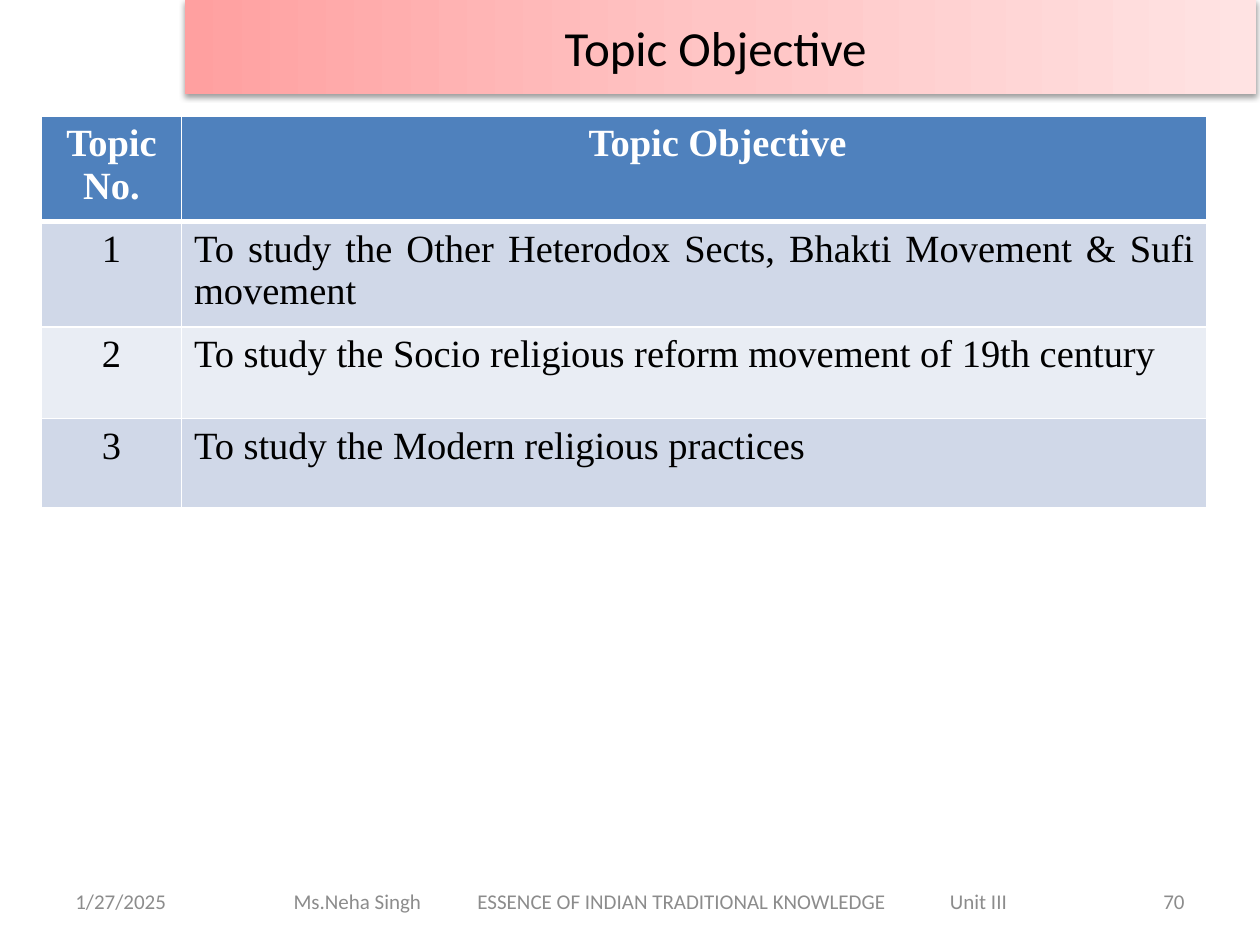
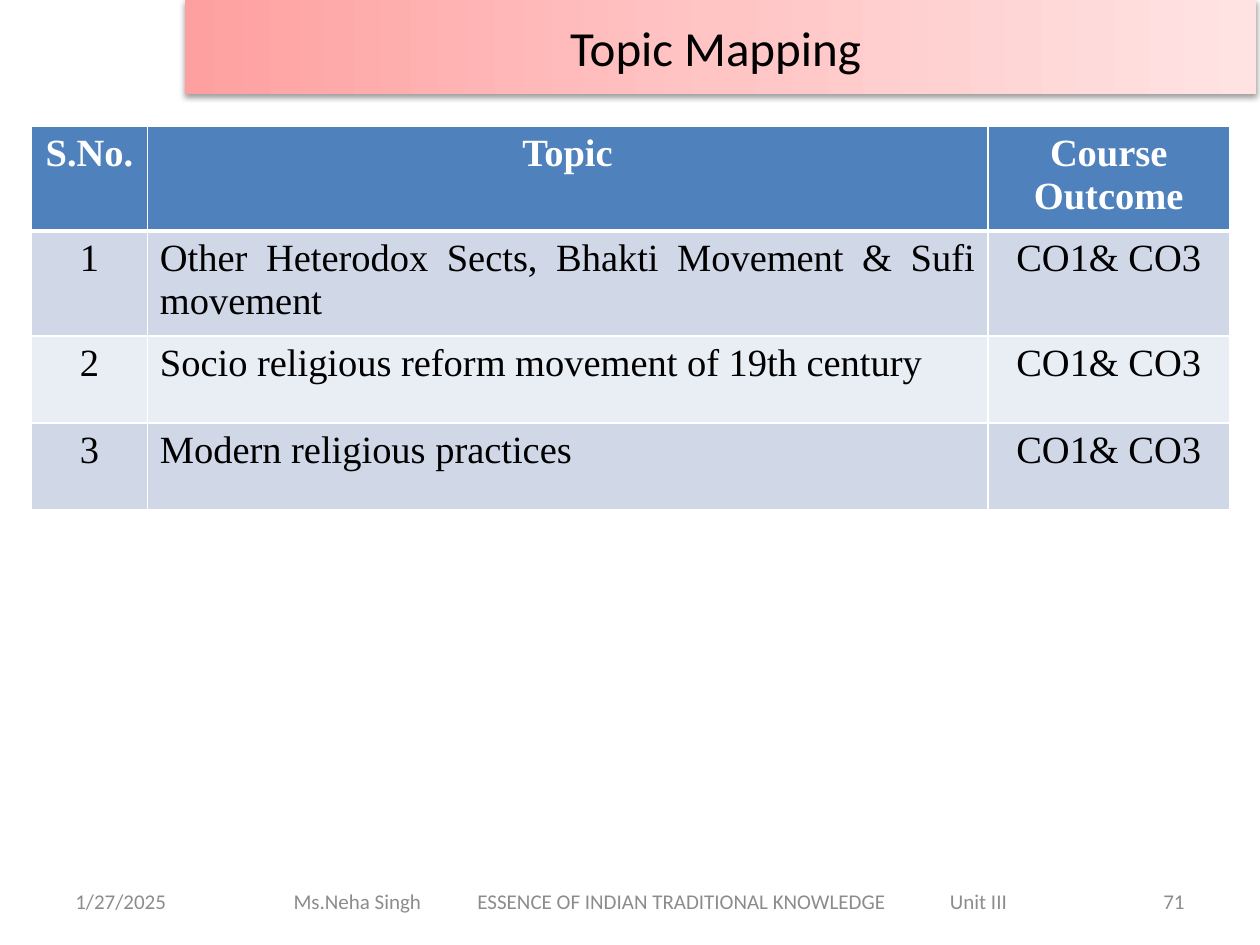
from lxml import etree
from pptx import Presentation
from pptx.dml.color import RGBColor
from pptx.enum import shapes, text
from pptx.oxml import ns
from pptx.util import Inches, Pt

WHITE = RGBColor(0xFF, 0xFF, 0xFF)
BLACK = RGBColor(0, 0, 0)
GREY = RGBColor(0x8C, 0x8C, 0x8C)
HEADER_BLUE = RGBColor(0x4F, 0x81, 0xBD)
BAND_DARK = RGBColor(0xD0, 0xD8, 0xE8)
BAND_LIGHT = RGBColor(0xE9, 0xED, 0xF4)
TITLE_GRADIENT = (
    (0, RGBColor(0xFF, 0xA0, 0xA0)),
    (50, RGBColor(0xFF, 0xC5, 0xC5)),
    (100, RGBColor(0xFF, 0xE3, 0xE3)),
)
TITLE_FONT = "Calibri"
TABLE_FONT = "Times New Roman"
LEFT, CENTER, RIGHT, JUSTIFY = (
    text.PP_ALIGN.LEFT, text.PP_ALIGN.CENTER, text.PP_ALIGN.RIGHT, text.PP_ALIGN.JUSTIFY)

DATE = "1/27/2025"
FOOTER = "Ms.Neha Singh\tESSENCE OF INDIAN TRADITIONAL KNOWLEDGE\tUnit III"
FOOTER_TABS = (1.46, 5.21)


def add_element(parent, tag, **attributes):
    """Append a DrawingML element and return it."""
    values = {name: str(value) for name, value in attributes.items()}
    return etree.SubElement(parent, ns.qn(tag), values)


def write_text(frame, content, *, size, font=TITLE_FONT, color=BLACK, bold=False,
               align=LEFT, tabs=()):
    """Write one formatted paragraph into a text frame."""
    frame.word_wrap = True
    paragraph = frame.paragraphs[0]
    paragraph.alignment = align
    if tabs:
        tab_list = add_element(paragraph._p.get_or_add_pPr(), "a:tabLst")
        for position in tabs:
            add_element(tab_list, "a:tab", pos=Inches(position), algn="l")
    run = paragraph.add_run()
    run.text = content
    run.font.size = Pt(size)
    run.font.name = font
    run.font.bold = bold
    run.font.color.rgb = color


def add_footer_text(slide, content, left, width, indent=0.1, **style):
    """Add one grey text box on the footer line."""
    box = slide.shapes.add_textbox(Inches(left), Inches(6.95), Inches(width), Inches(0.4))
    frame = box.text_frame
    frame.vertical_anchor = text.MSO_ANCHOR.MIDDLE
    frame.margin_left = Inches(indent)
    write_text(frame, content, size=12, color=GREY, **style)


def add_footer(slide, number):
    """Add date, course line and slide number."""
    add_footer_text(slide, DATE, 0.5, 2.33)
    add_footer_text(slide, FOOTER, 1.75, 6.83, indent=0.58, tabs=FOOTER_TABS)
    add_footer_text(slide, str(number), 7.17, 2.33, align=RIGHT)


def add_title_band(slide, title):
    """Add the shadowed gradient band with the slide title."""
    band = slide.shapes.add_shape(
        shapes.MSO_SHAPE.RECTANGLE, Inches(1.47), 0, Inches(8.5), Inches(0.75))
    band.line.fill.background()
    band.fill.gradient()
    band.fill.gradient_angle = 0
    properties = band._element.spPr
    stops = properties.find(".//" + ns.qn("a:gsLst"))
    for stop in list(stops):
        stops.remove(stop)
    for position, color in TITLE_GRADIENT:
        stop = add_element(stops, "a:gs", pos=position * 1000)
        add_element(stop, "a:srgbClr", val=color)
    band.shadow.inherit = False
    shadow = add_element(properties.find(ns.qn("a:effectLst")), "a:outerShdw",
                         blurRad=Pt(3.1), dist=Pt(1.6), dir=90 * 60000, rotWithShape=0)
    add_element(add_element(shadow, "a:srgbClr", val=BLACK), "a:alpha", val=38000)
    frame = band.text_frame
    frame.vertical_anchor = text.MSO_ANCHOR.MIDDLE
    frame.margin_right = Inches(0.18)
    write_text(frame, title, size=28, align=CENTER)


def set_borders(cell, bottom):
    """Draw white cell borders with the given bottom width in points."""
    properties = cell._tc.get_or_add_tcPr()
    sides = (("a:lnL", 1), ("a:lnR", 1), ("a:lnT", 1), ("a:lnB", bottom))
    for index, (tag, width) in enumerate(sides):
        line = add_element(properties, tag, w=Pt(width))
        add_element(add_element(line, "a:solidFill"), "a:srgbClr", val=WHITE)
        properties.insert(index, line)


def add_topic_table(slide, rows, left, top, widths, heights):
    """Add a banded table whose second column holds justified topics."""
    frame = slide.shapes.add_table(
        len(rows), len(widths), Inches(left), Inches(top),
        Inches(sum(widths)), Inches(sum(heights)))
    table = frame.table
    for column, width in zip(table.columns, widths):
        column.width = Inches(width)
    for row, height in zip(table.rows, heights):
        row.height = Inches(height)
    for row_index, values in enumerate(rows):
        header = row_index == 0
        band = BAND_DARK if row_index % 2 else BAND_LIGHT
        for column_index, value in enumerate(values):
            cell = table.cell(row_index, column_index)
            cell.fill.solid()
            cell.fill.fore_color.rgb = HEADER_BLUE if header else band
            set_borders(cell, bottom=3 if header else 1)
            is_topic = column_index == 1 and not header
            write_text(cell.text_frame, value, size=22, font=TABLE_FONT, bold=header,
                       color=WHITE if header else BLACK,
                       align=JUSTIFY if is_topic else CENTER)
    return table


def add_topic_slide(presentation, title, number):
    """Add a blank slide with the shared footer and title band."""
    slide = presentation.slides.add_slide(presentation.slide_layouts[6])
    add_footer(slide, number)
    add_title_band(slide, title)
    return slide


def main():
    """Build the objective and mapping slides."""
    presentation = Presentation()
    presentation.slide_width = Inches(10)
    presentation.slide_height = Inches(7.5)

    objective_slide = add_topic_slide(presentation, "Topic Objective", 70)
    objectives = (
        ("Topic No.", "Topic Objective"),
        ("1", "To study the Other Heterodox Sects, Bhakti Movement & Sufi movement"),
        ("2", "To study the Socio religious reform movement of 19th century"),
        ("3", "To study the Modern religious practices"),
    )
    objective_table = add_topic_table(
        objective_slide, objectives, 0.33, 0.92, (1.11, 8.14), (0.84, 0.73, 0.73, 0.71))
    objective_table.cell(0, 1).margin_left = Inches(0.47)

    mapping_slide = add_topic_slide(presentation, "Topic Mapping", 71)
    outcome = "CO1& CO3"
    mapping = (
        ("S.No.", "Topic", "Course Outcome"),
        ("1", "Other Heterodox Sects, Bhakti Movement & Sufi movement", outcome),
        ("2", "Socio religious reform movement of 19th century", outcome),
        ("3", "Modern religious practices", outcome),
    )
    add_topic_table(
        mapping_slide, mapping, 0.25, 1, (0.92, 6.67, 1.92), (0.81, 0.69, 0.69, 0.69))

    presentation.save("out.pptx")


if __name__ == "__main__":
    main()
